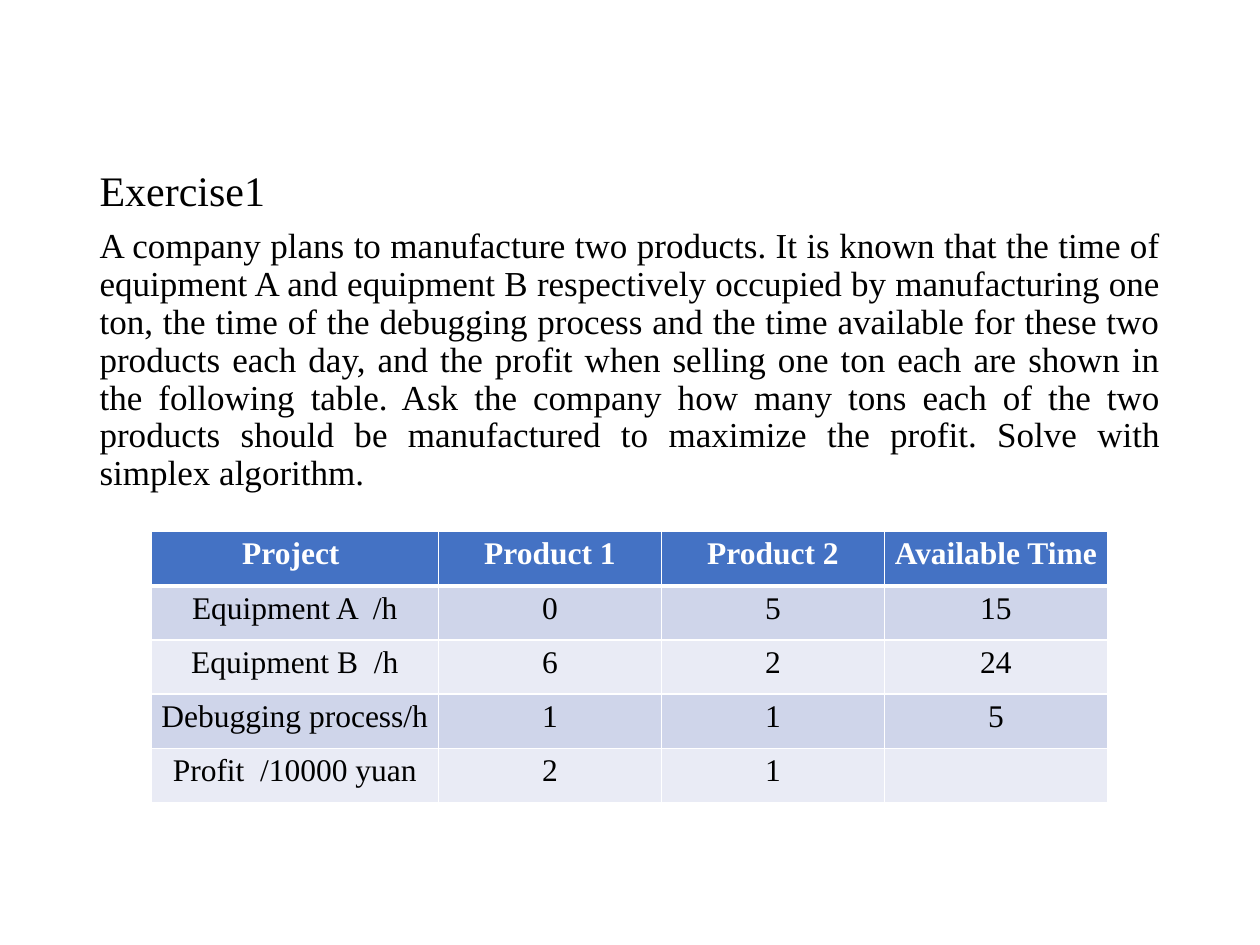
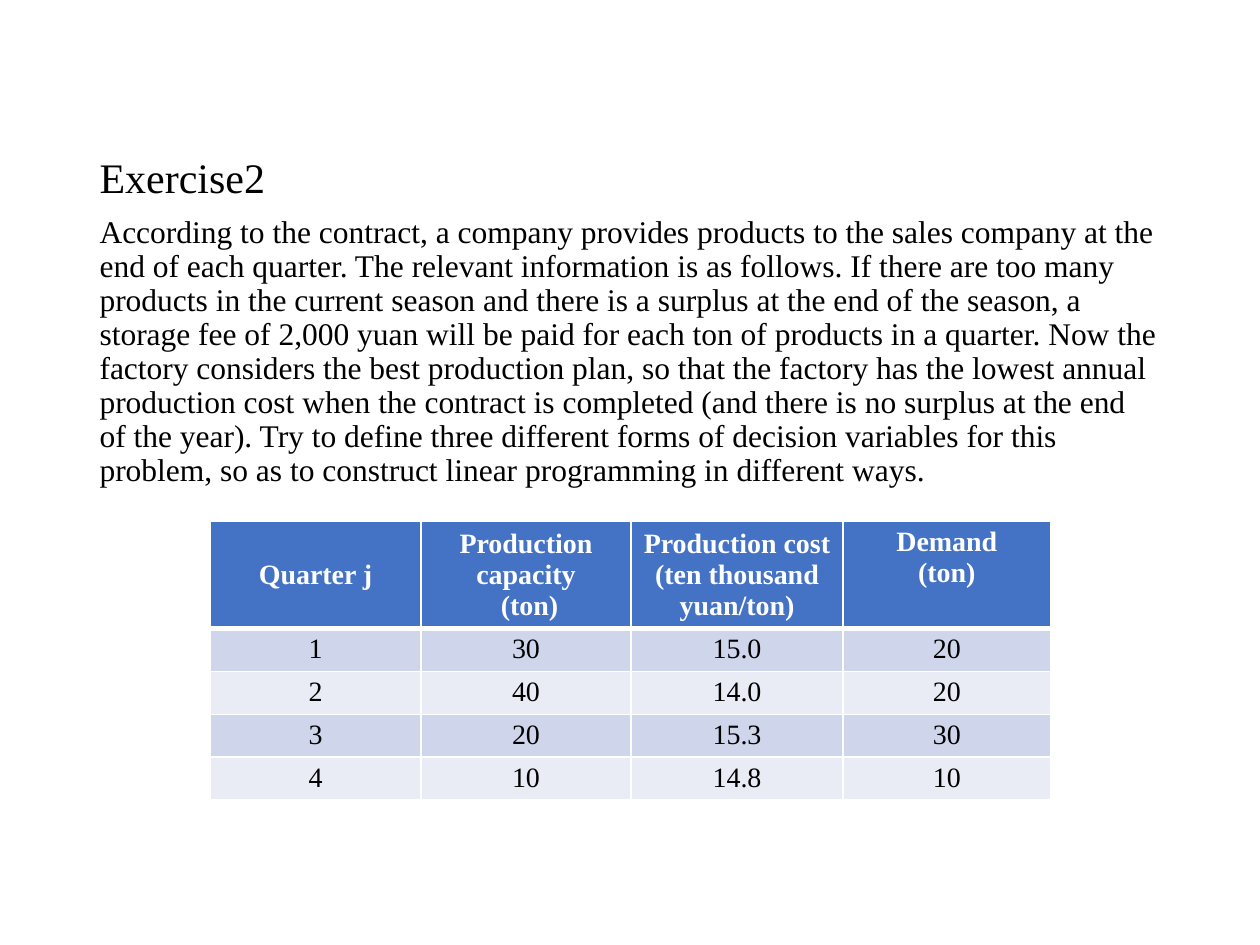
from lxml import etree
from pptx import Presentation
from pptx.dml.color import RGBColor
from pptx.enum import text
from pptx.oxml.ns import qn
from pptx.util import Inches, Pt

FONT = "Times New Roman"
BLACK = RGBColor(0x00, 0x00, 0x00)
WHITE = RGBColor(0xFF, 0xFF, 0xFF)
HEADER_BLUE = RGBColor(0x44, 0x72, 0xC4)
BANDS = (RGBColor(0xCF, 0xD5, 0xEA), RGBColor(0xE9, 0xEB, 0xF5))
TOP, MIDDLE = text.MSO_ANCHOR.TOP, text.MSO_ANCHOR.MIDDLE

EXERCISES = [
    {
        "heading": "Exercise1",
        "problem": "A company plans to manufacture two products. It is known that the "
                   "time of equipment A and equipment B respectively occupied by "
                   "manufacturing one ton, the time of the debugging process and the time "
                   "available for these two products each day, and the profit when selling "
                   "one ton each are shown in the following table. Ask the company how many "
                   "tons each of the two products should be manufactured to maximize the "
                   "profit. Solve with simplex algorithm.",
        "problem_size": 20,
        "align": text.PP_ALIGN.JUSTIFY,
        "body_box": (0.69, 1.3, 8.62, 4.7),
        "table_at": (1.2, 4.22),
        "table_size": 18,
        "columns": (2.28, 1.77, 1.77, 1.77),
        "row_heights": (0.43, 0.43),
        "anchors": (TOP, TOP, TOP, TOP),
        "rows": [
            ("Project ", "Product 1", "Product 2", "Available Time "),
            ("Equipment A  /h", "0", "5", "15"),
            ("Equipment B  /h", "6", "2", "24"),
            ("Debugging process/h", "1", "1", "5"),
            ("Profit  /10000 yuan", "2", "1", ""),
        ],
    },
    {
        "heading": "Exercise2",
        "problem": "According to the contract, a company provides products to the sales "
                   "company at the end of each quarter. The relevant information is as "
                   "follows. If there are too many products in the current season and there "
                   "is a surplus at the end of the season, a storage fee of 2,000 yuan will "
                   "be paid for each ton of products in a quarter. Now the factory considers "
                   "the best production plan, so that the factory has the lowest annual "
                   "production cost when the contract is completed (and there is no surplus "
                   "at the end of the year). Try to define three different forms of decision "
                   "variables for this problem, so as to construct linear programming in "
                   "different ways.",
        "problem_size": 18,
        "align": text.PP_ALIGN.LEFT,
        "body_box": (0.69, 1.2, 8.62, 3.33),
        "table_at": (1.67, 4.14),
        "table_size": 16,
        "columns": (1.67, 1.67, 1.68, 1.65),
        "row_heights": (0.85, 0.34),
        "anchors": (MIDDLE, MIDDLE, MIDDLE, TOP),
        "rows": [
            ("Quarter j", "Production capacity\n (ton)",
             "Production cost\n(ten thousand yuan/ton)", "Demand\n(ton)"),
            ("1", "30", "15.0", "20"),
            ("2", "40", "14.0", "20"),
            ("3", "20", "15.3", "30"),
            ("4", "10", "14.8", "10"),
        ],
    },
]


def add_run(p, words, size, color, bold=False):
    r = p.add_run()
    r.text = words
    r.font.name, r.font.size, r.font.bold = FONT, Pt(size), bold
    r.font.color.rgb = color


def next_paragraph(tf, index):
    return tf.add_paragraph() if index else tf.paragraphs[0]


def fill_body(body, exercise):
    body.left, body.top, body.width, body.height = map(Inches, exercise["body_box"])
    tf = body.text_frame
    tf.word_wrap = True
    tf.auto_size = text.MSO_AUTO_SIZE.NONE
    parts = [(exercise["heading"], 24), (exercise["problem"], exercise["problem_size"])]
    for i, (words, size) in enumerate(parts):
        p = next_paragraph(tf, i)
        p.alignment, p.line_spacing, p.space_before = exercise["align"], 0.9, Pt(7.5)
        add_run(p, words, size, BLACK)
        pPr = p._p.get_or_add_pPr()
        pPr.set("marL", "0")
        pPr.set("indent", "0")
        etree.SubElement(pPr, qn("a:buNone"))


def set_borders(cell, top, bottom):
    """Draw white borders; top and bottom are widths in points, the sides are 1."""
    tcPr = cell._tc.get_or_add_tcPr()
    for side, width in (("L", 1), ("R", 1), ("T", top), ("B", bottom)):
        ln = etree.SubElement(tcPr, qn(f"a:ln{side}"), w=str(Pt(width)))
        solid = etree.SubElement(ln, qn("a:solidFill"))
        etree.SubElement(solid, qn("a:srgbClr"), val=str(WHITE))


def fill_cell(cell, words, row, size):
    header = row == 0
    set_borders(cell, top=3 if row == 1 else 1, bottom=3 if header else 1)
    cell.fill.solid()
    cell.fill.fore_color.rgb = HEADER_BLUE if header else BANDS[(row - 1) % 2]
    cell.margin_left = cell.margin_right = Inches(0.07)
    cell.margin_top = cell.margin_bottom = Inches(0.04)
    for i, line in enumerate(words.splitlines()):
        p = next_paragraph(cell.text_frame, i)
        p.alignment = text.PP_ALIGN.CENTER
        add_run(p, line, size, WHITE if header else BLACK, header)


def add_data_table(s, exercise):
    rows, columns = exercise["rows"], exercise["columns"]
    header_height, row_height = exercise["row_heights"]
    heights = [header_height] + [row_height] * (len(rows) - 1)
    left, top = exercise["table_at"]
    table = s.shapes.add_table(len(rows), len(columns), Inches(left), Inches(top),
                               Inches(sum(columns)), Inches(sum(heights))).table
    for column, width in zip(table.columns, columns):
        column.width = Inches(width)
    for i, (values, height) in enumerate(zip(rows, heights)):
        table.rows[i].height = Inches(height)
        for j, words in enumerate(values):
            fill_cell(table.cell(i, j), words, i, exercise["table_size"])
    for j, anchor in enumerate(exercise["anchors"]):
        table.cell(0, j).vertical_anchor = anchor


def main():
    prs = Presentation()
    prs.slide_width, prs.slide_height = Inches(10), Inches(7.5)
    for exercise in EXERCISES:
        s = prs.slides.add_slide(prs.slide_layouts.get_by_name("Title and Content"))
        title = s.shapes.title.element
        title.getparent().remove(title)
        fill_body(s.placeholders[1], exercise)
        add_data_table(s, exercise)
    prs.save("out.pptx")


if __name__ == "__main__":
    main()
